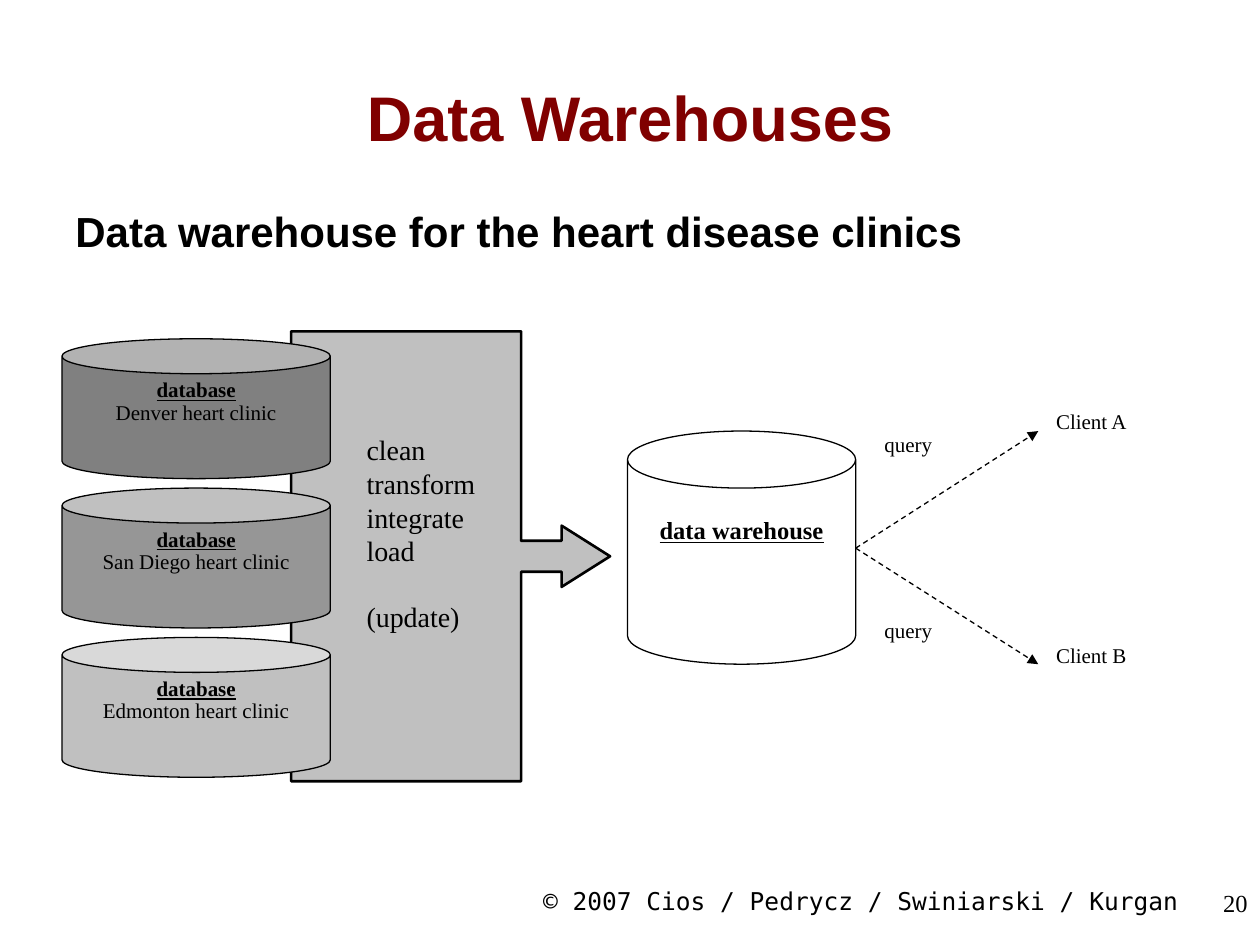
from dataclasses import dataclass

import pptx
import pptx.dml.color
import pptx.enum.dml
import pptx.enum.shapes
import pptx.enum.text
import pptx.oxml
import pptx.oxml.ns
import pptx.util
from pptx.util import Cm, Pt

RGBColor = pptx.dml.color.RGBColor
Kind = pptx.enum.shapes.MSO_SHAPE
Align = pptx.enum.text.PP_ALIGN
Anchor = pptx.enum.text.MSO_ANCHOR

BLACK = RGBColor(0x00, 0x00, 0x00)
WHITE = RGBColor(0xFF, 0xFF, 0xFF)
MAROON = RGBColor(0x80, 0x00, 0x00)
DARK = RGBColor(0x80, 0x80, 0x80)
MID = RGBColor(0x96, 0x96, 0x96)
LIGHT = RGBColor(0xC0, 0xC0, 0xC0)

SERIF, SANS, MONO = "Times New Roman", "Arial", "DejaVu Sans Mono"
INSET = (0.25, 0.13, 0.25, 0.13)
FLUSH = (0, 0, 0, 0)


@dataclass
class Box:
    """Left, top, width and height in centimetres."""
    left: float
    top: float
    wide: float
    high: float

    def size(self) -> tuple:
        return Cm(self.left), Cm(self.top), Cm(self.wide), Cm(self.high)


@dataclass
class Clinic:
    city: str
    fill: RGBColor


@dataclass
class Client:
    name: str
    name_top: float
    query_top: float
    tip: float


CLINICS = [Clinic("Denver", DARK), Clinic("San Diego", MID), Clinic("Edmonton", LIGHT)]
CLIENTS = [Client("Client A", 8.23, 8.69, 8.69), Client("Client B", 12.95, 12.45, 13.39)]


def set_frame(shape, inset: tuple, anchor=Anchor.TOP):
    frame = shape.text_frame
    frame.word_wrap = True
    frame.vertical_anchor = anchor
    (frame.margin_left, frame.margin_top,
     frame.margin_right, frame.margin_bottom) = map(Cm, inset)
    return frame


def add_text(frame, text: str, *, size: float, font: str = SERIF,
             color: RGBColor = BLACK, bold: bool = False, under: bool = False,
             align=Align.LEFT, space: float = 1, before: float = 0) -> None:
    para = frame.paragraphs[0] if not frame.text else frame.add_paragraph()
    para.alignment = align
    para.line_spacing = space
    para.space_before = Pt(before)
    run = para.add_run()
    run.text = text
    run.font.name = font
    run.font.size = Pt(size)
    run.font.bold = bold
    run.font.underline = under
    run.font.color.rgb = color


def add_label(slide, box: Box, text: str, *, inset: tuple = INSET,
              anchor=Anchor.TOP, **style) -> None:
    shape = slide.shapes.add_textbox(*box.size())
    add_text(set_frame(shape, inset, anchor), text, **style)


def add_block(slide, kind, box: Box, fill: RGBColor, inset: tuple,
              line: float = 0.75, adjust: tuple = (0.25,)):
    shape = slide.shapes.add_shape(kind, *box.size())
    shape.shadow.inherit = False
    for place, value in enumerate(adjust):
        shape.adjustments[place] = value
    shape.fill.solid()
    shape.fill.fore_color.rgb = fill
    shape.line.color.rgb = BLACK
    shape.line.width = Pt(line)
    return set_frame(shape, inset)


def add_arrow(slide, x1: float, y1: float, x2: float, y2: float) -> None:
    straight = pptx.enum.shapes.MSO_CONNECTOR.STRAIGHT
    arrow = slide.shapes.add_connector(straight, Cm(x1), Cm(y1), Cm(x2), Cm(y2))
    arrow.line.color.rgb = BLACK
    arrow.line.width = Pt(0.75)
    arrow.line.dash_style = pptx.enum.dml.MSO_LINE.DASH
    space = pptx.oxml.ns.nsdecls("a")
    head = pptx.oxml.parse_xml(f'<a:tailEnd {space} type="triangle"/>')
    arrow.line._get_or_add_ln().append(head)
    arrow._element.spPr.append(pptx.oxml.parse_xml(f"<a:effectLst {space}/>"))


def main() -> None:
    deck = pptx.Presentation()
    deck.slide_width, deck.slide_height = Cm(25.4), Cm(19.05)
    slide = deck.slides.add_slide(deck.slide_layouts[6])

    # Footer, title and subtitle
    add_label(slide, Box(10.16, 17.73, 14.4, 1.32),
              "© 2007 Cios / Pedrycz / Swiniarski / Kurgan",
              size=14, font=MONO, align=Align.CENTER)
    add_label(slide, Box(0, 1.07, 25.4, 2.54), "Data Warehouses", size=36, font=SANS,
              color=MAROON, bold=True, align=Align.CENTER, anchor=Anchor.MIDDLE)
    add_label(slide, Box(1.27, 4.01, 23.5, 13.97),
              "Data warehouse for the heart disease clinics",
              size=24, font=SANS, bold=True)

    # Loading steps
    steps = add_block(slide, Kind.RIGHT_ARROW_CALLOUT, Box(5.87, 6.68, 6.43, 9.07),
                      LIGHT, (1.52, 2.05, 0.25, 0.13), line=1.5,
                      adjust=(0.097, 0.096, 0.152, 0.721))
    for step in ("clean", "transform", "integrate", "load"):
        add_text(steps, step, size=16)
    add_text(steps, "(update)", size=16, before=18.4)

    # Clinic databases
    for row, clinic in enumerate(CLINICS):
        can = add_block(slide, Kind.CAN, Box(1.25, 6.83 + row * 3.01, 5.41, 2.82),
                        clinic.fill, (0.05, 0.13, 0.05, 0))
        add_text(can, "database", size=12, bold=True, under=True,
                 align=Align.CENTER, space=0.88)
        add_text(can, f"{clinic.city} heart clinic", size=12,
                 align=Align.CENTER, space=0.88)

    # Warehouse
    store = add_block(slide, Kind.CAN, Box(12.65, 8.69, 4.6, 4.7), WHITE,
                      (0.25, 0.55, 0.25, 0.13))
    add_text(store, "data warehouse", size=14, bold=True, under=True,
             align=Align.CENTER)

    # Clients and their queries
    for client in CLIENTS:
        add_arrow(slide, 17.25, 11.05, 20.93, client.tip)
        add_label(slide, Box(17.83, client.query_top, 1.37, 0.94), "query",
                  size=12, inset=FLUSH)
        add_label(slide, Box(21.29, client.name_top, 2.41, 0.94), client.name,
                  size=12, inset=FLUSH)

    # Slide number
    add_label(slide, Box(20.12, 17.78, 5.28, 1.27), "20", size=14, align=Align.RIGHT)

    deck.save("out.pptx")


if __name__ == "__main__":
    main()
